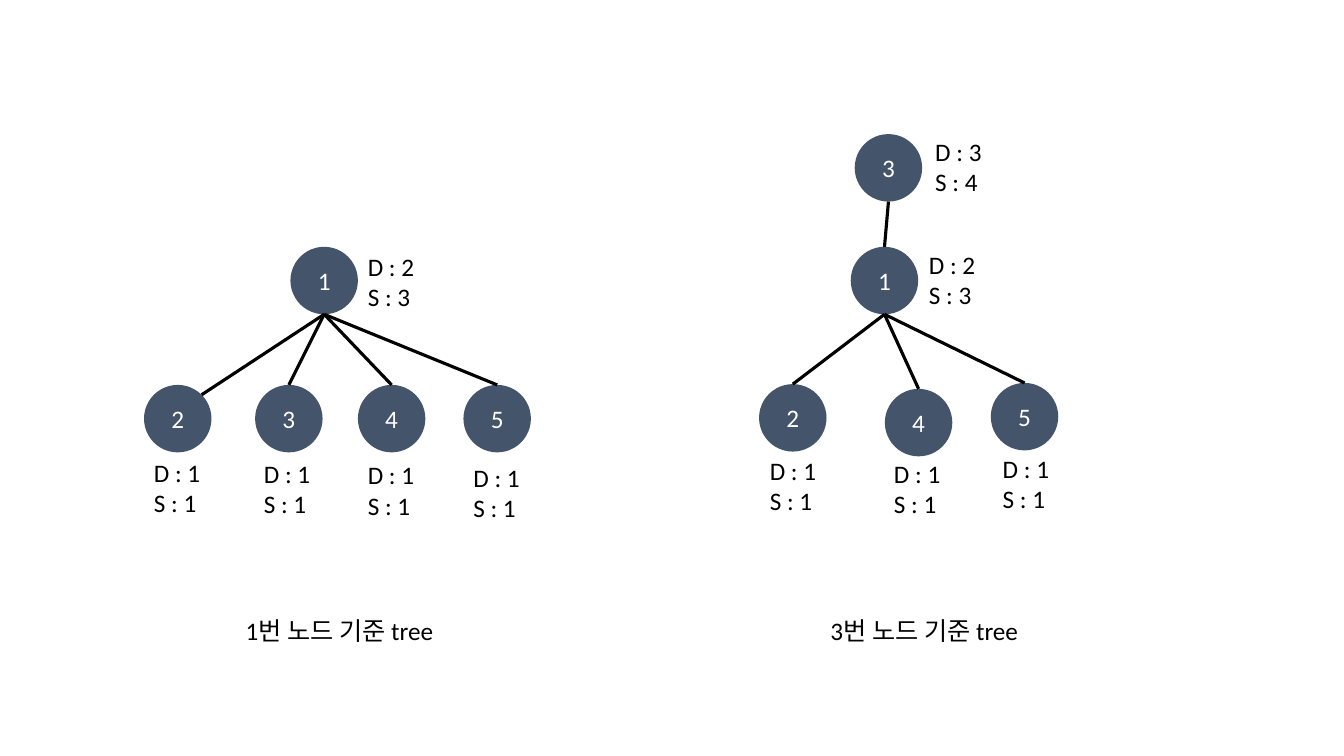
"""Build a slide comparing one tree rooted at node 1 and at node 3."""
from math import sqrt

from lxml import etree
from pptx import Presentation
from pptx import util as u
from pptx.dml.color import RGBColor
from pptx.enum import shapes, text
from pptx.oxml.ns import qn

COLORS = {"node": "44546A", "node_text": "FFFFFF", "ink": "000000"}
FONT, SIZE = "Calibri", 18
NODE = 1.7
LABEL_W, LABEL_H = 1.7, 1.8
CAPTION_TOP, CAPTION_W, CAPTION_H = 15.37, 5.56, 1.02

# Each node: name -> (left, top), (label left, label top), (D, S)
TREES = [
    {
        "caption": ("1번 노드 기준 tree", 5.94),
        "nodes": {
            1: ((7.32, 6.22), (9.02, 6.2), (2, 3)),
            2: ((3.63, 9.7), (3.63, 11.4), (1, 1)),
            3: ((6.43, 9.7), (6.4, 11.43), (1, 1)),
            4: ((9.02, 9.7), (9.02, 11.46), (1, 1)),
            5: ((11.68, 9.7), (11.68, 11.53), (1, 1)),
        },
        "edges": [(1, 2, "corner"), (1, 3, "top"), (1, 4, "top"), (1, 5, "top")],
    },
    {
        "caption": ("3번 노드 기준 tree", 20.68),
        "nodes": {
            1: ((21.44, 6.22), (23.16, 6.15), (2, 3)),
            2: ((19.13, 9.68), (19.15, 11.35), (1, 1)),
            3: ((21.54, 3.38), (23.32, 3.3), (3, 4)),
            4: ((22.3, 9.8), (22.28, 11.43), (1, 1)),
            5: ((24.97, 9.65), (25.02, 11.3), (1, 1)),
        },
        "edges": [(1, 2, "top"), (1, 4, "top"), (1, 5, "top"), (3, 1, "top")],
    },
]

DIAGONAL = NODE / 2 / sqrt(2)
SITES = {
    "top": (NODE / 2, 0),
    "bottom": (NODE / 2, NODE),
    "corner": (NODE / 2 + DIAGONAL, NODE / 2 - DIAGONAL),
}


def rgb(name):
    return RGBColor.from_string(COLORS[name])


def write(sp, content, color):
    tf = sp.text_frame
    tf.text = content
    for p in tf.paragraphs:
        for r in p.runs:
            r.font.name, r.font.size = FONT, u.Pt(SIZE)
            r.font.color.rgb = rgb(color)
    return tf


def add_text(s, content, *box):
    tf = write(s.shapes.add_textbox(*map(u.Cm, box)), content, "ink")
    tf.word_wrap = False
    tf.auto_size = text.MSO_AUTO_SIZE.SHAPE_TO_FIT_TEXT


def add_node(s, name, left, top):
    sp = s.shapes.add_shape(shapes.MSO_SHAPE.OVAL, *map(u.Cm, (left, top, NODE, NODE)))
    sp.shadow.inherit = False
    sp.fill.solid()
    sp.fill.fore_color.rgb = rgb("node")
    sp.line.fill.background()
    tf = write(sp, str(name), "node_text")
    tf.vertical_anchor = text.MSO_ANCHOR.MIDDLE
    tf.paragraphs[0].alignment = text.PP_ALIGN.CENTER


def add_edge(s, parent, child, site):
    ends = [at + shift for node, name in ((parent, "bottom"), (child, site))
            for at, shift in zip(node, SITES[name])]
    line = s.shapes.add_connector(shapes.MSO_CONNECTOR.STRAIGHT, *map(u.Cm, ends))
    line.line.color.rgb = rgb("ink")
    line.line.width = u.Pt(2.25)
    etree.SubElement(line._element.spPr, qn("a:effectLst"))


prs = Presentation()
prs.slide_width, prs.slide_height = u.Cm(33.87), u.Cm(19.05)
s = prs.slides.add_slide(prs.slide_layouts[6])

for tree in TREES:
    nodes = tree["nodes"]
    for name, (place, label, (d, size)) in nodes.items():
        add_node(s, name, *place)
        add_text(s, f"D : {d}\nS : {size}", *label, LABEL_W, LABEL_H)
    for parent, child, site in tree["edges"]:
        add_edge(s, nodes[parent][0], nodes[child][0], site)
    caption, left = tree["caption"]
    add_text(s, caption, left, CAPTION_TOP, CAPTION_W, CAPTION_H)

prs.save("out.pptx")
